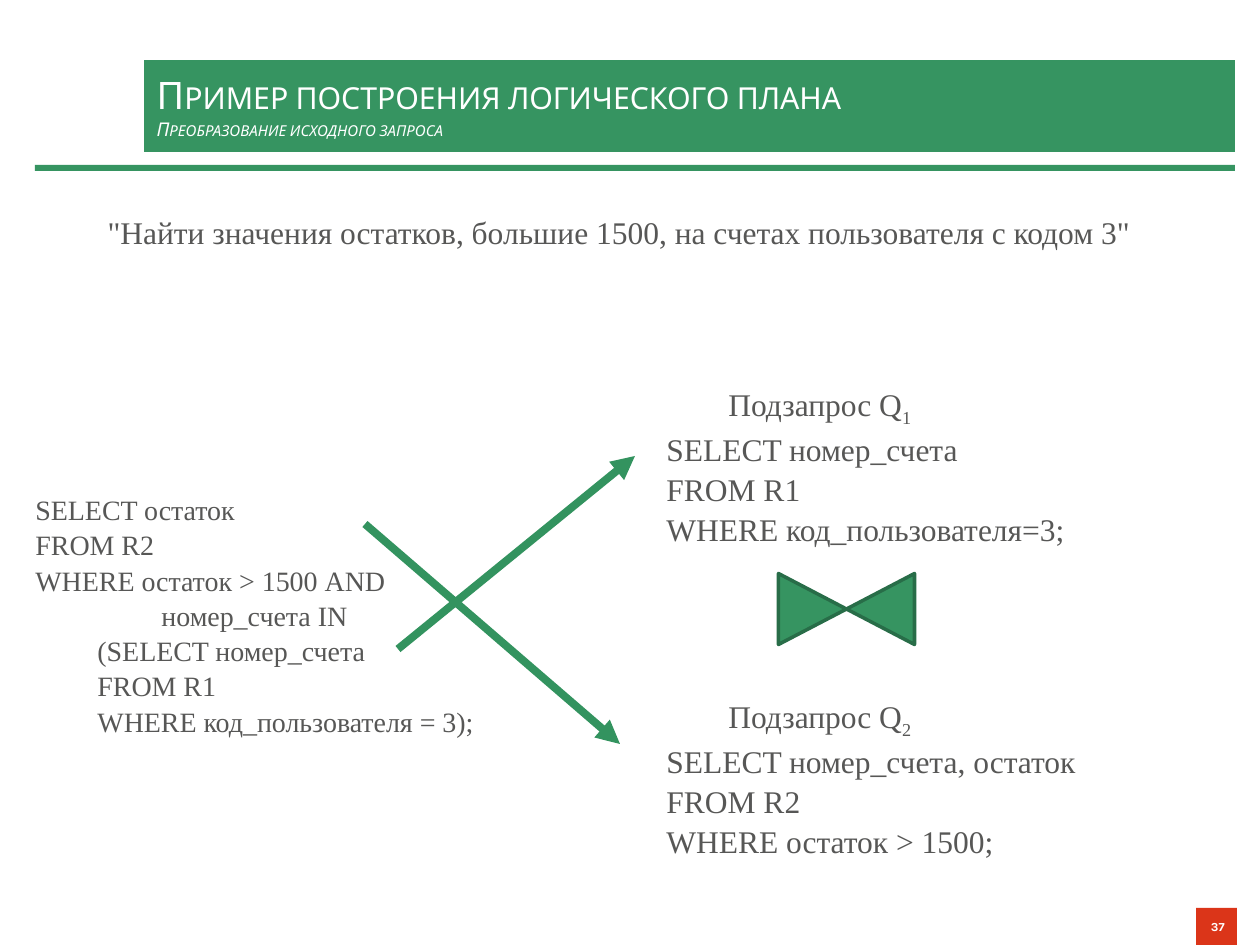
from lxml import etree
from pptx import Presentation
from pptx.dml.color import RGBColor
from pptx.enum.shapes import MSO_CONNECTOR, MSO_SHAPE
from pptx.enum.text import MSO_ANCHOR, MSO_AUTO_SIZE, PP_ALIGN
from pptx.oxml.ns import qn
from pptx.util import Emu, Inches, Pt

GREEN = RGBColor(0x36, 0x94, 0x61)
ARROW = RGBColor(0x33, 0x93, 0x5F)
EDGE = RGBColor(0x28, 0x6D, 0x48)
RED = RGBColor(0xDB, 0x35, 0x19)
GREY = RGBColor(0x57, 0x57, 0x56)
WHITE = RGBColor(0xFF, 0xFF, 0xFF)
RECT, BOWTIE = MSO_SHAPE.RECTANGLE, MSO_SHAPE.FLOWCHART_COLLATE
STRAIGHT = MSO_CONNECTOR.STRAIGHT
MIDDLE = MSO_ANCHOR.MIDDLE
NO_FIT = MSO_AUTO_SIZE.NONE
LEFT, RIGHT, JUSTIFY = PP_ALIGN.LEFT, PP_ALIGN.RIGHT, PP_ALIGN.JUSTIFY
HEAD, SERIF = "Karla", "Times New Roman"
PX = 914400 / 126
STEP = 62


def emu(*px):
    return [Emu(round(n * PX)) for n in px]


class Deck:
    def __init__(self):
        self.file = Presentation()
        self.file.slide_width, self.file.slide_height = Inches(10), Inches(7.5)
        self.slide = self.file.slides.add_slide(self.file.slide_layouts[1])

    def style(self, font, size, color, face=SERIF):
        font.name, font.size = face, Pt(size)
        font.color.rgb = color

    def place(self, shape, box):
        shape.left, shape.top, shape.width, shape.height = emu(*box)
        shape.text_frame.auto_size = NO_FIT

    def shape(self, kind, box, fill, edge=None):
        item = self.slide.shapes.add_shape(kind, *emu(*box))
        item.shadow.inherit = False
        item.fill.solid()
        item.fill.fore_color.rgb = fill
        if edge:
            item.line.color.rgb = edge
            item.line.width = Pt(2)
        else:
            item.line.fill.background()
        return item

    def title(self, box, head, sub):
        item = self.slide.shapes.title
        self.place(item, box)
        item.fill.solid()
        item.fill.fore_color.rgb = GREEN
        frame = item.text_frame
        frame.vertical_anchor = MIDDLE
        frame.margin_top = frame.margin_bottom = Inches(0.12)
        para = frame.paragraphs[0]
        para.alignment = LEFT
        for text, size in ((head, 21.6), (sub, 10.8)):
            if para.runs:
                para.add_line_break()
            run = para.add_run()
            run.text = text
            self.style(run.font, size, WHITE, HEAD)
            run.font.italic = text == sub
            run._r.get_or_add_rPr().set("cap", "small")

    def body(self, box, text):
        item = self.slide.placeholders[1]
        self.place(item, box)
        para = item.text_frame.paragraphs[0]
        para.text = text
        props = para._p.get_or_add_pPr()
        props.set("marL", "0")
        props.set("indent", "0")
        etree.SubElement(props, qn("a:buNone"))
        para.space_before = Pt(0)
        self.style(para.font, 18, GREY)

    def query(self, box, size, lines):
        item = self.slide.shapes.add_textbox(*emu(*box))
        frame = item.text_frame
        frame.word_wrap = True
        for i, (dent, text, *sub) in enumerate(lines):
            para = frame.add_paragraph() if i else frame.paragraphs[0]
            para.alignment = JUSTIFY
            para.line_spacing = 1.05
            para._p.get_or_add_pPr().set("indent", str(emu(dent)[0]))
            self.style(para.font, size, GREY)
            para.add_run().text = text
            for mark in sub:
                run = para.add_run()
                run.text = mark
                run._r.get_or_add_rPr().set("baseline", "-25000")

    def badge(self, box, text):
        item = self.shape(RECT, box, RED)
        item.text_frame.vertical_anchor = MIDDLE
        para = item.text_frame.paragraphs[0]
        para.text = text
        para.alignment = RIGHT
        self.style(para.font, 7, WHITE, HEAD)
        para.font.bold = True

    def arrow(self, *ends):
        item = self.slide.shapes.add_connector(STRAIGHT, *emu(*ends))
        item.line.color.rgb = ARROW
        item.line.width = Pt(4.5)
        line = item.line._get_or_add_ln()
        etree.SubElement(line, qn("a:tailEnd"), type="triangle")
        etree.SubElement(item._element.spPr, qn("a:effectLst"))


def main():
    deck = Deck()
    deck.shape(RECT, (35, 165, 1200, 6), GREEN)
    deck.title((144, 60, 1091, 92), "Пример построения логического плана",
               "Преобразование исходного запроса")
    deck.body((95, 207, 1081, 115),
              '"Найти значения остатков, большие 1500, на счетах пользователя с кодом 3"')
    deck.badge((1196, 908, 41, 37), "37")
    deck.query((23, 485, 572, 250), 16, [
        (0, "SELECT остаток"),
        (0, "FROM R2"),
        (0, "WHERE остаток > 1500 AND"),
        (126, "номер_счета IN"),
        (STEP, "(SELECT номер_счета"),
        (STEP, "FROM R1"),
        (STEP, "WHERE код_пользователя = 3);"),
    ])
    parts = (("1", "номер_счета", "код_пользователя=3;"),
             ("2", "номер_счета, остаток", "остаток > 1500;"))
    for i, (mark, cols, test) in enumerate(parts):
        deck.query((654, 377 + 312 * i, 523, 172), 18, [
            (STEP, "Подзапрос Q", mark),
            (0, f"SELECT {cols}"),
            (0, f"FROM R{mark}"),
            (0, f"WHERE {test}"),
        ])
    deck.arrow(398, 649, 635, 456)
    deck.arrow(365, 524, 620, 744)
    join = deck.shape(BOWTIE, (811, 541, 71, 136), GREEN, EDGE)
    join.rotation = 270
    deck.file.save("out.pptx")


if __name__ == "__main__":
    main()
